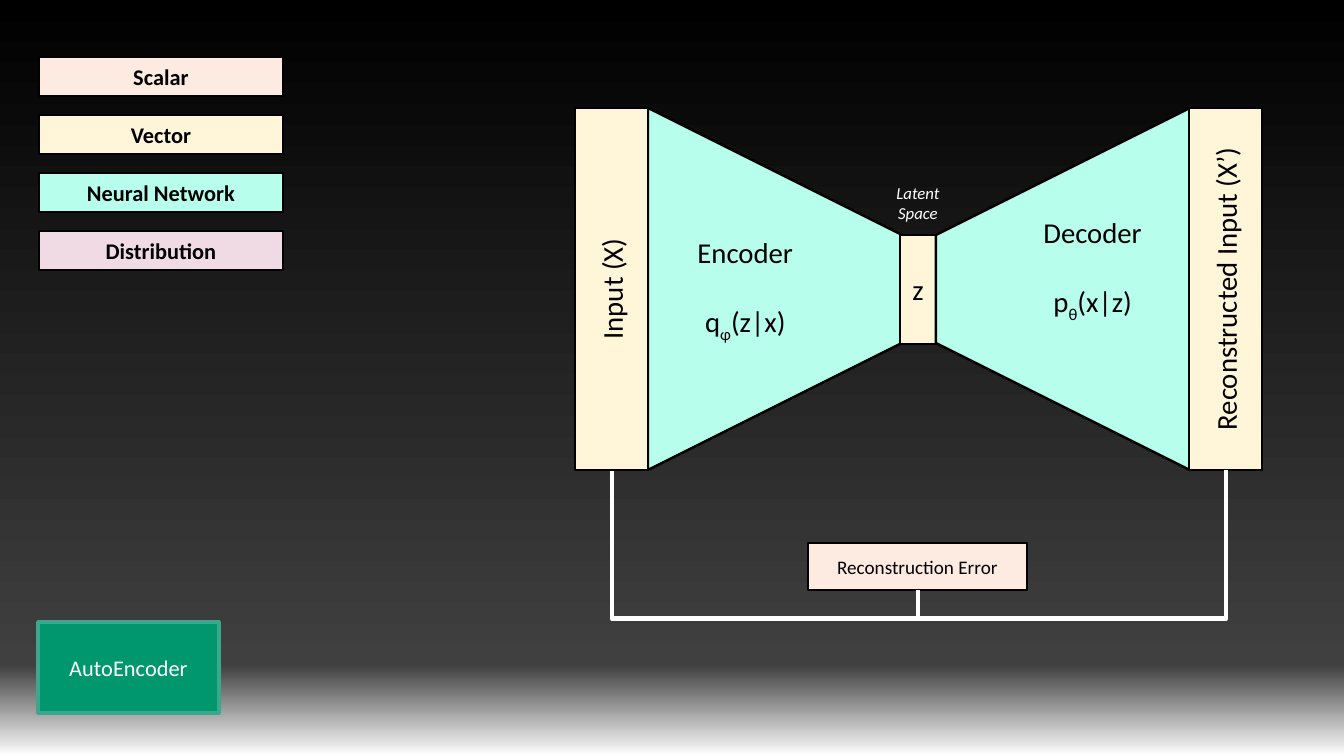
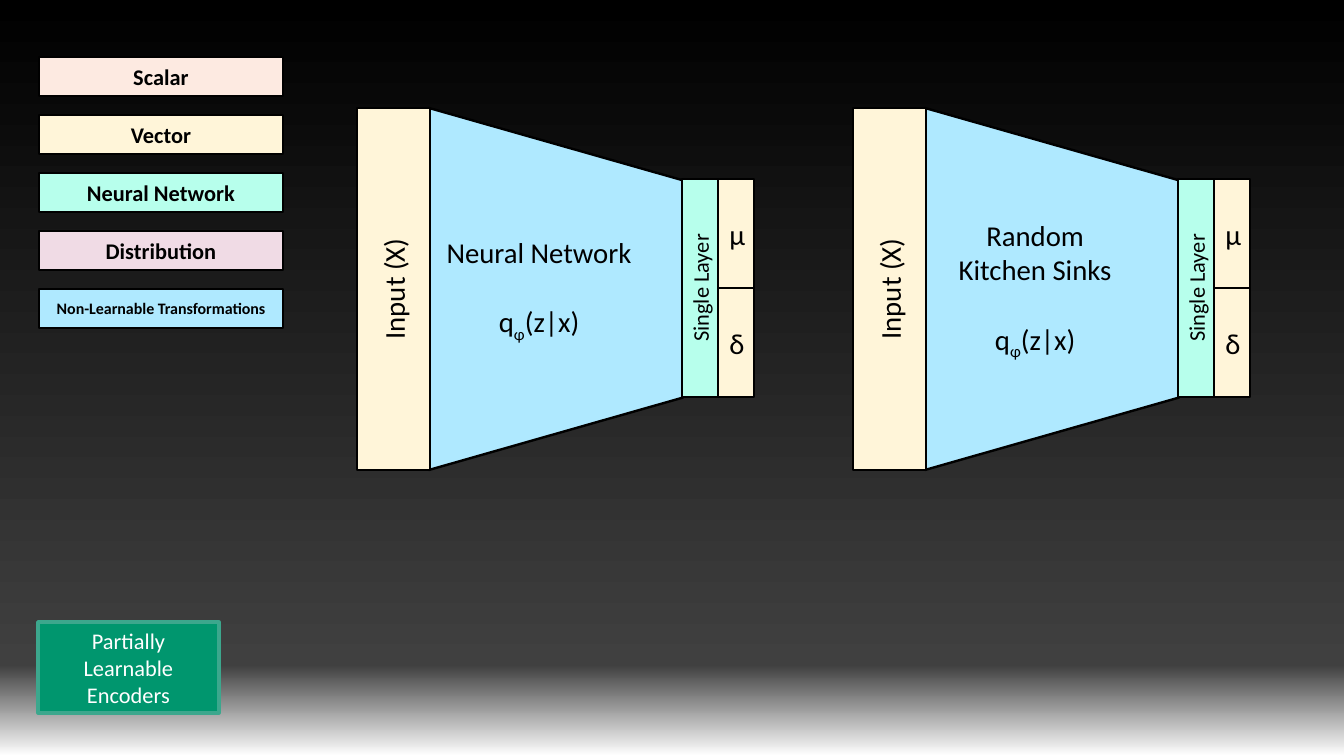
from copy import deepcopy

from pptx import Presentation
from pptx.dml.color import RGBColor as Rgb
from pptx.enum.shapes import MSO_CONNECTOR as Conn, MSO_SHAPE as Kind
from pptx.enum.text import MSO_ANCHOR as Anchor, PP_ALIGN as Align
from pptx.oxml.ns import qn
from pptx.util import Pt

SCALE = 914400 / 115
FONT = "Calibri"
BLACK, WHITE = "000000", "FFFFFF"
SCALAR, VECTOR, NEURAL, DIST, FIXED = "FDEAE1", "FFF5D9", "B7FFEC", "F0DBE5", "AFE9FF"
GREEN, EDGE = "00966E", "3CA78D"
SHADES = [(0, BLACK), (0.88, "404040"), (1, WHITE)]
KEYS = [
    ("Scalar", SCALAR, 14),
    ("Vector", VECTOR, 14),
    ("Neural Network", NEURAL, 14),
    ("Distribution", DIST, 14),
    ("Non-Learnable Transformations", FIXED, 10),
]
TOP, TALL, WIDE, FLARE = 108, 362, 73, 254
QUERY = ("q", "φ", "(z|x)")
PRIOR = ("p", "θ", "(x|z)")


def px(num):
    """Turn pixels into EMU."""
    return round(num * SCALE)


def rgb(code):
    """Turn a hex string into a colour."""
    return Rgb.from_string(code)


def write(shape, lines, size=18, color=BLACK, bold=False, italic=False, turn=None):
    """Fill a shape with centred lines; a tuple line is a formula with a subscript."""
    frame = shape.text_frame
    frame.word_wrap = True
    frame.vertical_anchor = Anchor.MIDDLE
    if turn:
        frame._txBody.bodyPr.set("vert", turn)
    for i, line in enumerate(lines):
        para = frame.paragraphs[0] if i == 0 else frame.add_paragraph()
        para.alignment = Align.CENTER
        parts = [line] if isinstance(line, str) else line
        if len(parts) > 1:
            para.space_before = Pt(22)
        for j, part in enumerate(parts):
            run = para.add_run()
            run.text = part
            font = run.font
            font.name, font.size = FONT, Pt(size)
            font.bold, font.italic = bold, italic
            font.color.rgb = rgb(color)
            if j == 1:
                run._r.get_or_add_rPr().set("baseline", "-25000")


def block(slide, area, fill, lines, kind=Kind.RECTANGLE, edge=BLACK, width=1.5, **style):
    """Add a filled, outlined shape with text."""
    shape = slide.shapes.add_shape(kind, *map(px, area))
    shape.shadow.inherit = False
    shape.fill.solid()
    shape.fill.fore_color.rgb = rgb(fill)
    shape.line.color.rgb = rgb(edge)
    shape.line.width = Pt(width)
    write(shape, lines, **style)
    return shape


def funnel(slide, x, fill, lines, slope, flip=False):
    """Add a trapezoid on its side that narrows right, or left if flipped."""
    area = (x + (FLARE - TALL) / 2, TOP + (TALL - FLARE) / 2, TALL, FLARE)
    turn = "vert" if flip else "vert270"
    shape = block(slide, area, fill, lines, Kind.TRAPEZOID, turn=turn)
    shape.adjustments[0] = slope
    shape.rotation = 270 if flip else 90
    return shape


def column(slide, x, text):
    """Add a tall vector with upward text."""
    block(slide, (x, TOP, WIDE, TALL), VECTOR, [text], turn="vert270")


def elbow(slide, start, end, bend):
    """Add a bent line that drops below its end and comes back up to it."""
    (x1, y1), (x2, y2) = start, end
    wide, high = y2 - y1, abs(x2 - x1)
    left, top = (x1 + x2 - wide) / 2, (y1 + y2 - high) / 2
    line = slide.shapes.add_connector(
        Conn.ELBOW, px(left), px(top), px(left + wide), px(top + high))
    line.line.color.rgb = rgb(WHITE)
    line.line.width = Pt(3)
    props = line._element.spPr
    frame = props.find(qn("a:xfrm"))
    frame.set("rot", str((270 if x1 < x2 else 90) * 60000))
    if x1 < x2:
        frame.set("flipH", "1")
    guides = props.find(qn("a:prstGeom")).get_or_add_avLst()
    guide = guides.makeelement(qn("a:gd"), {"name": "adj1", "fmla": f"val {round(bend * 100000)}"})
    guides.append(guide)
    props.append(props.makeelement(qn("a:effectLst"), {}))


def shade(master):
    """Give the master its three-stop background."""
    fill = master.background.fill
    fill.gradient()
    fill.gradient_angle = 270
    stops = master._element.find(".//" + qn("a:gsLst"))
    stops.append(deepcopy(stops[-1]))
    for stop, (place, code) in zip(fill.gradient_stops, SHADES):
        stop.position = place
        stop.color.rgb = rgb(code)


def start(deck, title, count):
    """Add a slide with its legend and title box."""
    slide = deck.slides.add_slide(deck.slide_layouts[6])
    for i, (name, fill, size) in enumerate(KEYS[:count]):
        block(slide, (39, 57 + 58 * i, 244, 39), fill, [name], size=size, bold=True)
    block(slide, (38, 622, 181, 91), GREEN, [title], edge=EDGE, width=2, size=14, color=WHITE)
    return slide


def coder(deck):
    """Build the autoencoder slide."""
    slide = start(deck, "AutoEncoder", 4)
    funnel(slide, 648, NEURAL, ["Encoder", QUERY], 0.5)
    block(slide, (900, 235, 36, 109), VECTOR, ["z"])
    right = funnel(slide, 936, NEURAL, ["Decoder", PRIOR], 0.5, flip=True)
    right.text_frame.margin_left = px(46)
    column(slide, 1189, "Reconstructed Input (X’)")
    note = slide.shapes.add_textbox(*map(px, (882, 181, 72, 43)))
    write(note, ["Latent", "Space"], size=10.5, color=WHITE, italic=True)
    block(slide, (808, 543, 219, 47), SCALAR, ["Reconstruction Error"], size=12)
    for x in (612, 1226):
        elbow(slide, (x, TOP + TALL), (918, 590), 1.24)
    column(slide, 575, "Input (X)")


def tower(slide, x, lines):
    """Add an input, a fixed funnel, one layer and its two outputs."""
    funnel(slide, x + 72, FIXED, lines, 0.285)
    column(slide, x, "Input (X)")
    block(slide, (x + 325, 179, 36, 218), NEURAL, ["Single Layer"], size=14, turn="vert270")
    for i, sign in enumerate("µδ"):
        block(slide, (x + 361, 179 + 109 * i, 36, 109), VECTOR, [sign])


def partial(deck):
    """Build the partly learnable encoders slide."""
    slide = start(deck, "Partially Learnable Encoders", 5)
    tower(slide, 357, ["Neural Network", QUERY])
    tower(slide, 853, ["Random", "Kitchen Sinks", QUERY])


def main():
    """Build and save the deck."""
    deck = Presentation()
    deck.slide_width, deck.slide_height = px(1344), px(756)
    shade(deck.slide_master)
    coder(deck)
    partial(deck)
    deck.save("out.pptx")


if __name__ == "__main__":
    main()
